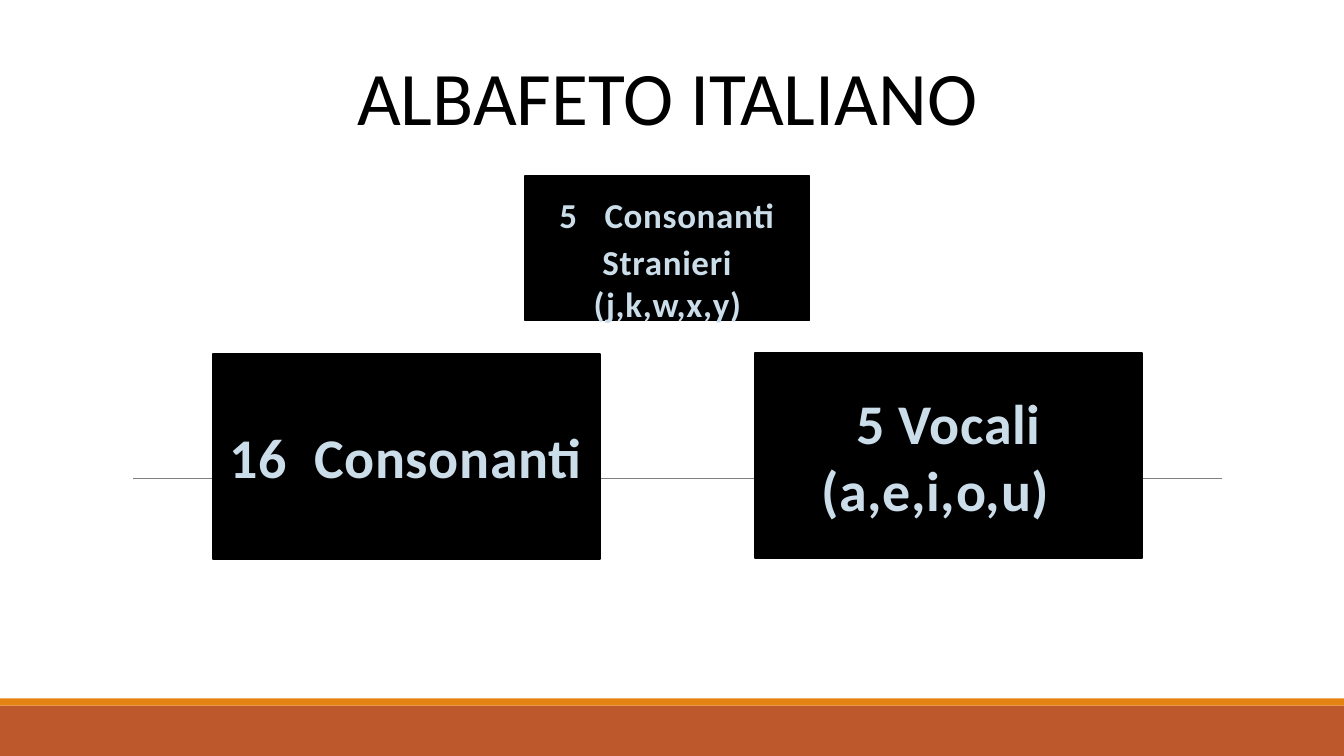
from dataclasses import dataclass

from pptx import Presentation
from pptx.dml.color import RGBColor
from pptx.enum.shapes import MSO_CONNECTOR, MSO_SHAPE
from pptx.enum.text import MSO_ANCHOR, MSO_AUTO_SIZE, PP_ALIGN
from pptx.oxml.ns import qn
from pptx.shapes.autoshape import Shape
from pptx.slide import Slide
from pptx.util import Inches, Pt
from lxml import etree

BLACK = RGBColor(0x00, 0x00, 0x00)
PALE_BLUE = RGBColor(0xCC, 0xDD, 0xEA)
GREY = RGBColor(0x80, 0x80, 0x80)
RUST = RGBColor(0xBD, 0x58, 0x2C)
ORANGE = RGBColor(0xE4, 0x83, 0x12)
FONT = "Calibri"
SLIDE_WIDTH, SLIDE_HEIGHT = 13.33, 7.5


@dataclass(frozen=True)
class Band:
    top: float
    height: float
    color: RGBColor


@dataclass(frozen=True)
class LetterBox:
    left: float
    top: float
    width: float
    height: float
    runs: tuple[tuple[str, float], ...]  # text and size in points


BANDS = (Band(7, 0.5, RUST), Band(6.93, 0.07, ORANGE))
LETTER_BOXES = (
    LetterBox(7.49, 3.5, 3.84, 2.04, (("5 Vocali (a,e,i,o,u)  ", 40),)),
    LetterBox(2.11, 3.51, 3.84, 2.04, (("16  Consonanti", 40),)),
    LetterBox(5.21, 1.75, 2.82, 1.43,
              (("5", 25), ("  ", 40), ("Consonanti Stranieri (j,k,w,x,y)", 25))),
)


def add_text(shape: Shape, text: str, *, size: float, color: RGBColor,
             bold: bool = False, spacing: float = 0) -> None:
    """Append a run to the shape's centred paragraph."""
    shape.text_frame.word_wrap = True
    paragraph = shape.text_frame.paragraphs[0]
    paragraph.alignment = PP_ALIGN.CENTER
    run = paragraph.add_run()
    run.text = text
    run.font.name = FONT
    run.font.size = Pt(size)
    run.font.bold = bold
    run.font.color.rgb = color
    if spacing:
        run.font._element.set("spc", str(round(spacing * 100)))


def add_rectangle(slide: Slide, left: float, top: float, width: float,
                  height: float, color: RGBColor) -> Shape:
    shape = slide.shapes.add_shape(MSO_SHAPE.RECTANGLE, Inches(left), Inches(top),
                                   Inches(width), Inches(height))
    shape.shadow.inherit = False
    shape.fill.solid()
    shape.fill.fore_color.rgb = color
    shape.line.fill.background()
    return shape


def add_letter_box(slide: Slide, box: LetterBox) -> None:
    shape = add_rectangle(slide, box.left, box.top, box.width, box.height, BLACK)
    shape.line.color.rgb = BLACK
    shape.line.width = Pt(1.25)
    shape.text_frame.vertical_anchor = MSO_ANCHOR.MIDDLE
    for text, size in box.runs:
        add_text(shape, text, size=size, color=PALE_BLUE, bold=True, spacing=0.5)


def add_rule(slide: Slide, left: float, right: float, top: float) -> None:
    rule = slide.shapes.add_connector(MSO_CONNECTOR.STRAIGHT, Inches(left),
                                      Inches(top), Inches(right), Inches(top))
    rule.line.color.rgb = GREY
    rule.line.width = Pt(0.5)
    etree.SubElement(rule._element.spPr, qn("a:effectLst"))


def main() -> None:
    presentation = Presentation()
    presentation.slide_width = Inches(SLIDE_WIDTH)
    presentation.slide_height = Inches(SLIDE_HEIGHT)
    slide = presentation.slides.add_slide(presentation.slide_layouts[6])

    # Footer bands and rule behind the boxes
    for band in BANDS:
        add_rectangle(slide, 0, band.top, SLIDE_WIDTH, band.height, band.color)
    add_rule(slide, 1.32, 12.12, 4.75)

    # Title
    title = slide.shapes.add_textbox(Inches(2.87), Inches(0.45), Inches(7.5), Inches(1.01))
    title.text_frame.auto_size = MSO_AUTO_SIZE.SHAPE_TO_FIT_TEXT
    add_text(title, "ALBAFETO ITALIANO", size=54, color=BLACK)

    # Letter groups
    for box in LETTER_BOXES:
        add_letter_box(slide, box)

    presentation.save("out.pptx")


if __name__ == "__main__":
    main()
